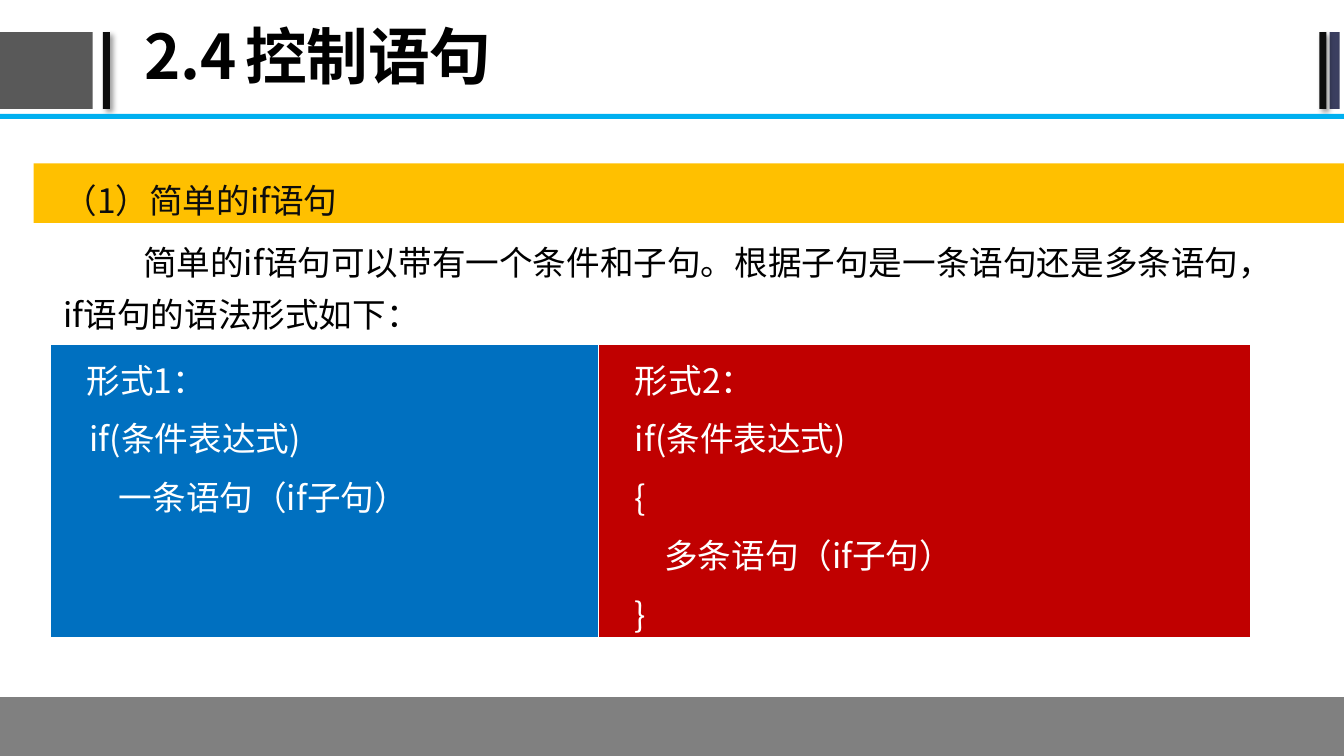
"""Build the slide on the simple if statement, placed on a grid of 160 columns by 90 rows."""
from dataclasses import dataclass

from lxml.etree import SubElement
from pptx import Presentation
from pptx.dml.color import RGBColor
from pptx.enum.shapes import MSO_SHAPE as Preset
from pptx.enum.text import MSO_ANCHOR as Anchor
from pptx.oxml import parse_xml
from pptx.oxml.ns import nsdecls, qn
from pptx.util import Inches, Length, Pt

CELL = 7.5 / 90
FONT = "Noto Sans CJK SC"
COLORS = {
    "black": "000000", "ink": "0D0D0D", "slate": "595959", "navy": "3B3F60",
    "sky": "00B0F0", "amber": "FFC000", "gray": "808080", "white": "FFFFFF",
    "blue": "0070C0", "red": "C00000",
}


@dataclass(frozen=True)
class Area:
    column: float
    row: float
    columns: float
    rows: float

    def lengths(self) -> list[Length]:
        return [grid(n) for n in (self.column, self.row, self.columns, self.rows)]


@dataclass(frozen=True)
class Block:
    area: Area
    color: str
    shadow: bool = False


@dataclass(frozen=True)
class Line:
    text: str
    spacing: float
    indent: float = 0
    tab: float = 0
    color: str = "black"
    size: int = 24
    bold: bool = False


@dataclass(frozen=True)
class Label:
    area: Area
    line: Line
    insets: tuple[float, float] = (0.13, 0.07)
    anchor: Anchor = Anchor.TOP


@dataclass(frozen=True)
class Form:
    columns: float
    color: str
    lines: list[Line]


def code(text: str, indent: float = 0.29) -> Line:
    return Line(text, 1.2, indent, color="white")


BLOCKS = [
    Block(Area(0, 3.84, 11.04, 9.12), "slate"),
    Block(Area(12.24, 3.84, 0.84, 9.12), "ink", True),
    Block(Area(158.28, 3.84, 1.2, 9.12), "navy"),
    Block(Area(157.08, 3.84, 0.84, 9.12), "ink", True),
    Block(Area(0, 13.56, 160, 0.6), "sky"),
    Block(Area(4, 19.44, 156, 7.08), "amber"),
    Block(Area(0, 83, 160, 7), "gray"),
]
LABELS = [
    Label(Area(16, 0, 135, 14.16), Line("2.4\t控制语句", 0.9, tab=1.34, size=44, bold=True),
          (0.1, 0.05), Anchor.MIDDLE),
    Label(Area(6, 19.56, 46.92, 6.96), Line("（1）简单的if语句", 1.2, color="ink")),
    Label(Area(6, 26.52, 147, 14.52), Line(
        "简单的if语句可以带有一个条件和子句。根据子句是一条语句还是多条语句，"
        "if语句的语法形式如下：", 1.3, 0.79)),
]
TABLE_AREA = Area(6, 41.04, 142.92, 35.04)
FORMS = [
    Form(65.28, "blue", [code("形式1："), code("if(条件表达式)", 0.32),
                         code("一条语句（if子句）", 0.61)]),
    Form(77.64, "red", [code("形式2："), code("if(条件表达式)"), code("{"),
                        code("多条语句（if子句）", 0.58), code("}")]),
]
BORDERS = {"lnL": 1, "lnR": 1, "lnT": 1, "lnB": 3}


def grid(count: float) -> Length:
    return Inches(count * CELL)


def rgb(name: str) -> RGBColor:
    return RGBColor.from_string(COLORS[name])


def draw_block(slide, block: Block) -> None:
    shape = slide.shapes.add_shape(Preset.RECTANGLE, *block.area.lengths())
    shape.shadow.inherit = False
    shape.fill.solid()
    shape.fill.fore_color.rgb = rgb(block.color)
    shape.line.fill.background()
    if block.shadow:
        effects = shape._element.spPr.find(qn("a:effectLst"))
        effects.append(parse_xml(
            f'<a:outerShdw {nsdecls("a")} blurRad="{Pt(4)}" dist="{Pt(3)}" dir="2700000">'
            f'<a:srgbClr val="{COLORS["black"]}"><a:alpha val="40000"/></a:srgbClr>'
            '</a:outerShdw>'))


def write_line(paragraph, line: Line) -> None:
    paragraph.text = line.text
    paragraph.line_spacing = line.spacing
    properties = paragraph._p.get_or_add_pPr()
    properties.set("marL", "0")
    properties.set("indent", str(Inches(line.indent)))
    if line.tab:
        tabs = SubElement(properties, qn("a:tabLst"))
        SubElement(tabs, qn("a:tab"), pos=str(Inches(line.tab)), algn="l")
    for run in paragraph.runs:
        font = run.font
        font.name = FONT
        font.size = Pt(line.size)
        font.bold = line.bold
        font.color.rgb = rgb(line.color)
        SubElement(run._r.get_or_add_rPr(), qn("a:ea"), typeface=FONT)


def set_margins(holder, side: float, edge: float) -> None:
    holder.margin_left = holder.margin_right = Inches(side)
    holder.margin_top = holder.margin_bottom = Inches(edge)


def draw_label(slide, label: Label) -> None:
    frame = slide.shapes.add_textbox(*label.area.lengths()).text_frame
    frame.word_wrap = True
    frame.vertical_anchor = label.anchor
    set_margins(frame, *label.insets)
    write_line(frame.paragraphs[0], label.line)


def draw_form(cell, form: Form) -> None:
    set_margins(cell, 0.07, 0)
    cell.fill.solid()
    cell.fill.fore_color.rgb = rgb(form.color)
    properties = cell._tc.get_or_add_tcPr()
    for position, (side, width) in enumerate(BORDERS.items()):
        properties.insert(position, parse_xml(
            f'<a:{side} {nsdecls("a")} w="{Pt(width)}"><a:solidFill>'
            f'<a:srgbClr val="{COLORS["white"]}"/></a:solidFill></a:{side}>'))
    frame = cell.text_frame
    for index, line in enumerate(form.lines):
        write_line(frame.add_paragraph() if index else frame.paragraphs[0], line)


def draw_table(slide, area: Area, forms: list[Form]) -> None:
    table = slide.shapes.add_table(1, len(forms), *area.lengths()).table
    for index, form in enumerate(forms):
        table.columns[index].width = grid(form.columns)
        draw_form(table.cell(0, index), form)


def main() -> None:
    presentation = Presentation()
    presentation.slide_width = grid(160)
    presentation.slide_height = grid(90)
    slide = presentation.slides.add_slide(presentation.slide_layouts[6])
    for block in BLOCKS:
        draw_block(slide, block)
    for label in LABELS:
        draw_label(slide, label)
    draw_table(slide, TABLE_AREA, FORMS)
    presentation.save("out.pptx")


if __name__ == "__main__":
    main()
